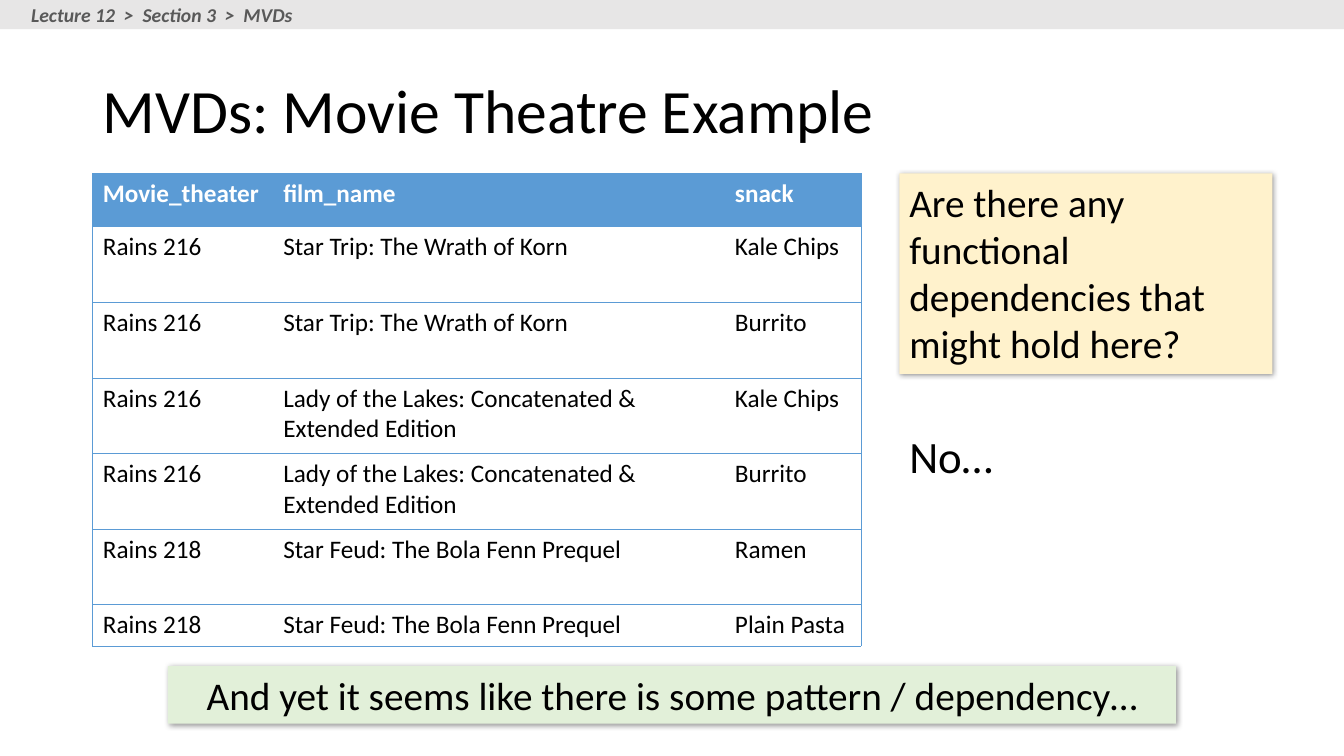
import pptx
import pptx.util
import pptx.dml.color
import pptx.enum.shapes
import pptx.enum.text
import pptx.oxml
import pptx.oxml.ns
import lxml.etree

W, H = 13.33, 7.5
MARGIN, TOP = 0.92, 1.72
SIDE = 8.92
FONT = "Calibri"
BLACK, WHITE, BLUE = "000000", "FFFFFF", "5B9BD5"
ALIGN = pptx.enum.text.PP_ALIGN
ANCHOR = pptx.enum.text.MSO_ANCHOR
RECT = pptx.enum.shapes.MSO_SHAPE.RECTANGLE

COLS = [1.79, 4.48, 1.35]
ROWS = [0.53] + [0.75] * 5 + [0.41]
HEADINGS = ["Movie_theater", "film_name", "snack"]
SHOWINGS = [
    ("Rains 216", "Star Trip: The Wrath of Korn", ["Kale Chips", "Burrito"]),
    ("Rains 216", "Lady of the Lakes: Concatenated & Extended Edition", ["Kale Chips", "Burrito"]),
    ("Rains 218", "Star Feud: The Bola Fenn Prequel", ["Ramen", "Plain Pasta"]),
]


def rgb(color):
    """Turn a hex string into a colour."""
    return pptx.dml.color.RGBColor.from_string(color)


def inches(box):
    """Turn the numbers of a box into lengths."""
    return [pptx.util.Inches(n) for n in box]


def write(tf, text, size, color=BLACK, bold=False, italic=False, align=ALIGN.LEFT):
    """Write one run into the first paragraph of a text frame."""
    p = tf.paragraphs[0]
    p.alignment = align
    r = p.add_run()
    r.text = text
    r.font.name, r.font.size = FONT, pptx.util.Pt(size)
    r.font.bold, r.font.italic = bold, italic
    r.font.color.rgb = rgb(color)
    return p


def add_rect(shapes, box, fill):
    """Add a flat rectangle without a line."""
    sp = shapes.add_shape(RECT, *inches(box))
    sp.shadow.inherit = False
    sp.fill.solid()
    sp.fill.fore_color.rgb = rgb(fill)
    sp.line.fill.background()
    return sp


def add_label(shapes, box, text, size, **style):
    """Add a one-line text box."""
    sp = shapes.add_textbox(*inches(box))
    tf = sp.text_frame
    tf.word_wrap = False
    tf.vertical_anchor = ANCHOR.MIDDLE
    write(tf, text, size, **style)
    return tf


def add_callout(s, box, text, fill, align):
    """Add a filled box with a soft shadow."""
    sp = add_rect(s.shapes, box, fill)
    effects = sp._element.spPr.find(pptx.oxml.ns.qn("a:effectLst"))
    effects.append(pptx.oxml.parse_xml(
        f'<a:outerShdw {pptx.oxml.ns.nsdecls("a")} blurRad="50800" dist="12700" dir="2700000">'
        f'<a:srgbClr val="{BLACK}"><a:alpha val="40000"/></a:srgbClr></a:outerShdw>'))
    sp.text_frame.word_wrap = True
    sp.text_frame.vertical_anchor = ANCHOR.TOP
    write(sp.text_frame, text, 28, align=align)


def add_breadcrumb(s, box):
    """Add the grey bar with the place in the course."""
    left, top, width, height = box
    group = s.shapes.add_group_shape()
    add_rect(group.shapes, box, "E7E6E6")
    tf = add_label(group.shapes, (left + 0.21, top, 2.85, height),
                   "Lecture 12  >  Section 3  >  MVDs", 14,
                   color="595959", bold=True, italic=True)
    tf.margin_top = tf.margin_bottom = 0


def add_title(s, box, text):
    """Move and fill the title placeholder."""
    sp = s.shapes.title
    sp.left, sp.top, sp.width, sp.height = inches(box)
    sp.text_frame.vertical_anchor = ANCHOR.MIDDLE
    write(sp.text_frame, text, 44).line_spacing = 0.9


def set_borders(cell, sides):
    """Draw thin lines on the named sides of a cell and clear the others."""
    tcPr = cell._tc.get_or_add_tcPr()
    for i, side in enumerate("LRTB"):
        ln = lxml.etree.Element(pptx.oxml.ns.qn(f"a:ln{side}"), w=str(pptx.util.Pt(0.5)))
        if side in sides:
            fill = lxml.etree.SubElement(ln, pptx.oxml.ns.qn("a:solidFill"))
            lxml.etree.SubElement(fill, pptx.oxml.ns.qn("a:srgbClr"), val=BLUE)
        else:
            lxml.etree.SubElement(ln, pptx.oxml.ns.qn("a:noFill"))
        tcPr.insert(i, ln)


def add_showings(s, left, top):
    """Add the table of theatres, films and snacks."""
    rows = [HEADINGS] + [(room, film, snack) for room, film, snacks in SHOWINGS for snack in snacks]
    box = (left, top, sum(COLS), sum(ROWS))
    table = s.shapes.add_table(len(rows), len(COLS), *inches(box)).table
    table.horz_banding = False
    for column, width in zip(table.columns, COLS):
        column.width = pptx.util.Inches(width)
    for i, (row, height) in enumerate(zip(table.rows, ROWS)):
        row.height = pptx.util.Inches(height)
        for j, cell in enumerate(row.cells):
            head = i == 0
            cell.fill.solid()
            cell.fill.fore_color.rgb = rgb(BLUE if head else WHITE)
            write(cell.text_frame, rows[i][j], 18, WHITE if head else BLACK, bold=head)
            set_borders(cell, "TB" + "L" * (j == 0) + "R" * (j == len(COLS) - 1))


def main():
    """Build the slide and save it."""
    prs = pptx.Presentation()
    prs.slide_width, prs.slide_height = inches((W, H))
    s = prs.slides.add_slide(prs.slide_layouts[5])
    add_title(s, (MARGIN, 0.4, 11.5, 1.45), "MVDs: Movie Theatre Example")
    add_callout(s, (SIDE, TOP, 3.7, 1.99),
                "Are there any functional dependencies that might hold here?", "FFF2CC", ALIGN.LEFT)
    add_callout(s, (W / 8, 6.61, W * 3 / 4, 0.57),
                "And yet it seems like there is some pattern / dependency…", "E2F0D9", ALIGN.CENTER)
    add_label(s.shapes, (SIDE, 4.2, 1.04, 0.64), "No…", 32)
    add_breadcrumb(s, (0, 0, W, 0.29))
    add_showings(s, MARGIN, TOP)
    prs.save("out.pptx")


if __name__ == "__main__":
    main()
